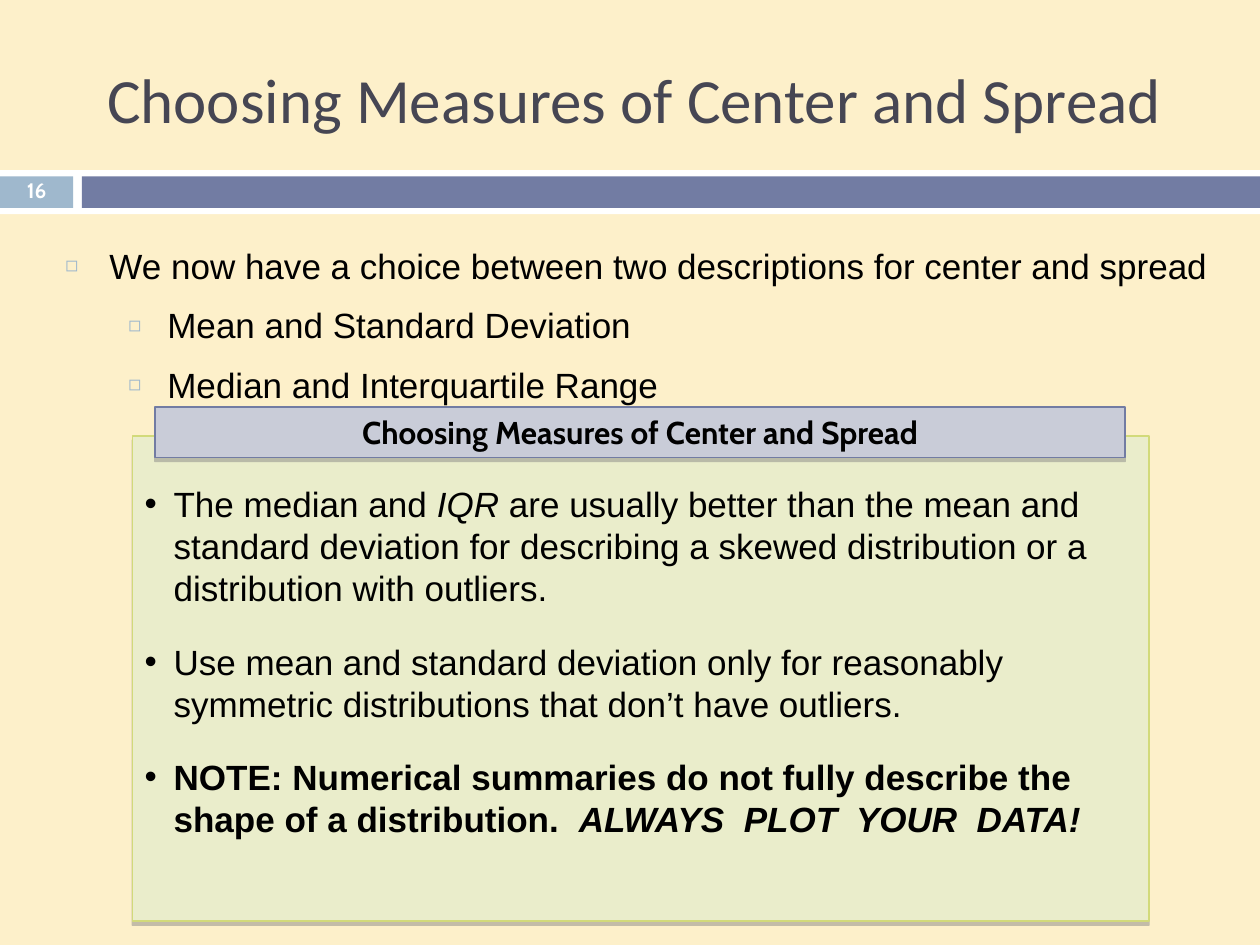
from lxml import etree
from pptx import Presentation
from pptx import util as u
from pptx.dml import color
from pptx.enum import shapes, text
from pptx.oxml import ns

TITLE = "Choosing Measures of Center and Spread"
CHOICES = [
    ("We now have a choice between two descriptions for center and spread", 0),
    ("Mean and Standard Deviation", 1),
    ("Median and Interquartile Range", 1),
]
GUIDELINES = [
    [("The median and ", ""), ("IQR ", "i"),
     ("are usually better than the mean and standard deviation for describing "
      "a skewed distribution or a distribution with outliers.", "")],
    [("Use mean and standard deviation only for reasonably symmetric "
      "distributions that don’t have outliers.", "")],
    [("NOTE: Numerical summaries do not fully describe the shape of a "
      "distribution.  ", "b"), ("ALWAYS  PLOT  YOUR  DATA!", "bi")],
]


def rgb(value):
    return color.RGBColor.from_string(value)


def child(parent, tag, **attributes):
    return etree.SubElement(parent, ns.qn(tag), **attributes)


class SlideBuilder:
    body_font = "Arial"
    accent_font = "Cabin"
    body_size = 20
    line_spacing = 1.0
    ink = "000000"

    def __init__(self, presentation):
        self.slide = presentation.slides.add_slide(presentation.slide_layouts[5])

    def background(self, fill):
        self.slide.background.fill.solid()
        self.slide.background.fill.fore_color.rgb = rgb(fill)

    def place(self, shape, left, top, width, height):
        shape.left, shape.top = u.Inches(left), u.Inches(top)
        shape.width, shape.height = u.Inches(width), u.Inches(height)

    def style(self, font, name, size, ink, bold=False, italic=False):
        font.name, font.size = name, u.Pt(size)
        font.bold, font.italic = bold, italic
        font.color.rgb = rgb(ink)

    def title(self, content, *box):
        shape = self.slide.shapes.title
        self.place(shape, *box)
        frame = shape.text_frame
        frame.text = content
        frame.vertical_anchor = text.MSO_ANCHOR.MIDDLE
        paragraph = frame.paragraphs[0]
        paragraph.alignment = text.PP_ALIGN.LEFT
        self.style(paragraph.runs[0].font, "Calibri", 36, "464653")

    def rectangle(self, box, fill, line=None):
        shape = self.slide.shapes.add_shape(
            shapes.MSO_SHAPE.RECTANGLE, *map(u.Inches, box))
        shape.shadow.inherit = False
        shape.fill.solid()
        shape.fill.fore_color.rgb = rgb(fill)
        if line:
            shape.line.color.rgb = rgb(line)
            shape.line.width = u.Pt(0.79)
            self.drop_shadow(shape)
        else:
            shape.line.fill.background()
        return shape

    def drop_shadow(self, shape):
        effects = shape.element.spPr.find(ns.qn("a:effectLst"))
        shadow = child(effects, "a:outerShdw", blurRad="0",
                       dist=str(u.Pt(2.4)), dir="5400000", rotWithShape="0")
        child(child(shadow, "a:srgbClr", val="808080"), "a:alpha", val="45000")

    def text_box(self, *box):
        shape = self.slide.shapes.add_textbox(*map(u.Inches, box))
        shape.text_frame.word_wrap = True
        return shape

    def label(self, shape, content, size, ink):
        frame = shape.text_frame
        frame.text = content
        frame.vertical_anchor = text.MSO_ANCHOR.MIDDLE
        paragraph = frame.paragraphs[0]
        paragraph.alignment = text.PP_ALIGN.CENTER
        self.style(paragraph.runs[0].font, self.accent_font, size, ink, bold=True)

    def bullet(self, paragraph, symbol, ink, percent, left, hanging):
        properties = paragraph._p.get_or_add_pPr()
        properties.set("marL", str(u.Inches(left)))
        properties.set("indent", str(-u.Inches(hanging)))
        child(child(properties, "a:buClr"), "a:srgbClr", val=ink)
        child(properties, "a:buSzPct", val=str(percent * 1000))
        child(properties, "a:buFont", typeface=self.body_font)
        child(properties, "a:buChar", char=symbol)

    def paragraphs(self, frame, count):
        for _ in range(count - 1):
            frame.add_paragraph()
        for paragraph in frame.paragraphs:
            paragraph.alignment = text.PP_ALIGN.LEFT
            paragraph.line_spacing = self.line_spacing
        return frame.paragraphs

    def choices(self, shape, items):
        indents = [(0.35, 0.35), (0.81, 0.31)]
        rows = self.paragraphs(shape.text_frame, len(items))
        for index, (paragraph, (content, level)) in enumerate(zip(rows, items)):
            paragraph.text = content
            paragraph.level = level
            paragraph.space_before = u.Pt(10 if index else 0)
            self.bullet(paragraph, "◻", "9FB8CD", 60, *indents[level])
            self.style(paragraph.runs[0].font, self.body_font, self.body_size, self.ink)

    def guidelines(self, shape, items):
        frame = shape.text_frame
        frame.vertical_anchor = text.MSO_ANCHOR.TOP
        frame.margin_top = u.Inches(0.37)
        for paragraph, pieces in zip(self.paragraphs(frame, len(items)), items):
            paragraph.space_after = u.Pt(18)
            self.bullet(paragraph, "•", self.ink, 100, 0.23, 0.23)
            for content, flags in pieces:
                run = paragraph.add_run()
                run.text = content
                self.style(run.font, self.body_font, self.body_size, self.ink,
                           "b" in flags, "i" in flags)


def main():
    presentation = Presentation()
    presentation.slide_width = u.Inches(10)
    presentation.slide_height = u.Inches(7.5)
    builder = SlideBuilder(presentation)
    builder.background("FDF0CA")
    builder.rectangle((0, 1.35, 10, 0.35), "FFFFFF")
    builder.rectangle((0, 1.4, 0.58, 0.25), "9FB8CD")
    builder.rectangle((0.65, 1.4, 9.35, 0.25), "727CA3")
    builder.title(TITLE, 0.75, 0.17, 8.83, 1.22)
    number = builder.text_box(0, 1.39, 0.58, 0.27)
    builder.label(number, "16", 12, "FFFFFF")
    number.text_frame.paragraphs[0].line_spacing = 0.8
    builder.choices(builder.text_box(0.42, 1.89, 9.33, 4.09), CHOICES)
    panel = builder.rectangle((1.05, 3.46, 8.07, 3.85), "EAEDCB", "D2DA7A")
    builder.guidelines(panel, GUIDELINES)
    heading = builder.rectangle((1.23, 3.23, 7.7, 0.4), "C9CCD8", "727CA3")
    builder.label(heading, TITLE, 18, builder.ink)
    presentation.save("out.pptx")


if __name__ == "__main__":
    main()
